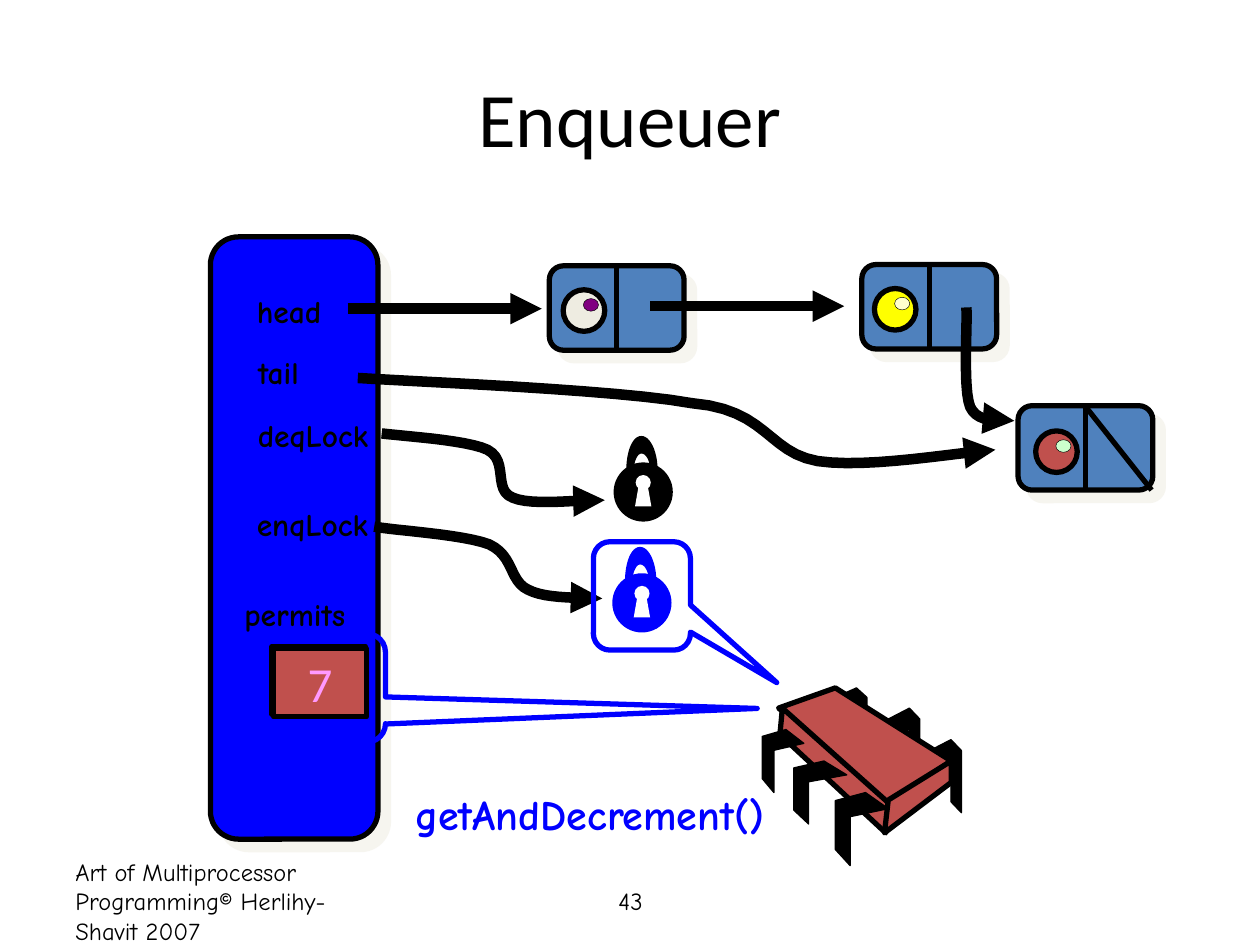
import pptx
import pptx.dml.color
import pptx.enum.shapes
import pptx.enum.text
import pptx.oxml.ns
import pptx.util
from lxml import etree
from pptx.util import Inches

SHAPE = pptx.enum.shapes.MSO_SHAPE
ALIGN = pptx.enum.text.PP_ALIGN
ANCHOR = pptx.enum.text.MSO_ANCHOR
qn = pptx.oxml.ns.qn

BLACK, WHITE, BLUE, RED = "000000", "FFFFFF", "0000FF", "C0504D"
PINK, STEEL, CREAM = "FF99FF", "4F81BD", "EEECE1"
HAND, PLAIN = "Comic Neue", "Calibri"
CURVE_STEPS = 12


def color(value):
    return pptx.dml.color.RGBColor.from_string(value)


def paint(shape, fill, line, width):
    shape.shadow.inherit = False
    if fill:
        shape.fill.solid()
        shape.fill.fore_color.rgb = color(fill)
    else:
        shape.fill.background()
    if line:
        shape.line.color.rgb = color(line)
        shape.line.width = pptx.util.Pt(width)
    else:
        shape.line.fill.background()


def add_arrowhead(shape):
    outline = shape._element.spPr.find(qn("a:ln"))
    etree.SubElement(outline, qn("a:tailEnd"), type="triangle")


def add_shadow(shape):
    effects = shape._element.spPr.find(qn("a:effectLst"))
    shadow = etree.SubElement(effects, qn("a:outerShdw"), blurRad="0",
                              dist=str(pptx.util.Pt(8.5)), dir="2700000",
                              algn="ctr", rotWithShape="0")
    tint = etree.SubElement(shadow, qn("a:srgbClr"), val=CREAM)
    etree.SubElement(tint, qn("a:alpha"), val="50000")


def add_preset(shapes, kind, box, fill=None, line=None, width=3, adjust=()):
    shape = shapes.add_shape(kind, *map(Inches, box))
    for index, value in enumerate(adjust):
        shape.adjustments[index] = value
    paint(shape, fill, line, width)
    return shape


def add_line(shapes, start, end, width=3, arrow=False):
    connector = shapes.add_connector(pptx.enum.shapes.MSO_CONNECTOR.STRAIGHT,
                                     *map(Inches, start + end))
    connector.line.color.rgb = color(BLACK)
    connector.line.width = pptx.util.Pt(width)
    etree.SubElement(connector._element.spPr, qn("a:effectLst"))
    if arrow:
        add_arrowhead(connector)


def add_outline(shapes, points, fill=None, line=None, width=3, close=True):
    points = [(Inches(x), Inches(y)) for x, y in points]
    builder = shapes.build_freeform(*points[0], scale=1.0)
    builder.add_line_segments(points[1:], close=close)
    shape = builder.convert_to_shape()
    paint(shape, fill, line, width)
    return shape


def bezier(points):
    """Trace joined cubic curves: a start, then three points per curve."""
    traced = [points[0]]
    for first in range(0, len(points) - 1, 3):
        a, b, c, d = points[first:first + 4]
        for step in range(1, CURVE_STEPS + 1):
            t = step / CURVE_STEPS
            weights = ((1 - t) ** 3, 3 * t * (1 - t) ** 2,
                       3 * t * t * (1 - t), t ** 3)
            traced.append(tuple(sum(w * p[axis] for w, p in zip(weights, (a, b, c, d)))
                                for axis in (0, 1)))
    return traced


def add_curved_arrow(shapes, points):
    add_arrowhead(add_outline(shapes, bezier(points), line=BLACK, width=6, close=False))


def write(shape, text, size, font=HAND, fill=BLACK, bold=False,
          align=ALIGN.CENTER, anchor=ANCHOR.MIDDLE, wrap=True):
    frame = shape.text_frame
    frame.text = text
    frame.word_wrap = wrap
    frame.vertical_anchor = anchor
    paragraph = frame.paragraphs[0]
    paragraph.alignment = align
    run_font = paragraph.runs[0].font
    run_font.name, run_font.size, run_font.bold = font, pptx.util.Pt(size), bold
    run_font.color.rgb = color(fill)


def add_text(shapes, box, text, size, **style):
    write(shapes.add_textbox(*map(Inches, box)), text, size, **style)


def add_label(shapes, box, text, size=18, fill=BLACK):
    add_text(shapes, box, text, size, fill=fill, bold=True, anchor=ANCHOR.TOP, wrap=False)


def add_node(slide, x, y):
    shapes = slide.shapes.add_group_shape().shapes
    add_shadow(add_preset(shapes, SHAPE.ROUNDED_RECTANGLE, (x, y, 1.07, 0.67),
                          STEEL, BLACK, adjust=[0.167]))
    add_line(shapes, (x + 0.535, y), (x + 0.535, y + 0.67))


def add_ball(slide, x, y, fill, spot):
    shapes = slide.shapes.add_group_shape().shapes
    add_preset(shapes, SHAPE.OVAL, (x, y, 0.33, 0.33), fill, BLACK)
    add_preset(shapes, SHAPE.OVAL, (x + 0.16, y + 0.07, 0.12, 0.1), spot, BLACK, 0.25)


def add_lock(slide, x, y, fill):
    shapes = slide.shapes.add_group_shape().shapes
    add_preset(shapes, SHAPE.OVAL, (x, y, 0.47, 0.47), fill)
    add_preset(shapes, SHAPE.OVAL, (x + 0.175, y + 0.1, 0.12, 0.12), WHITE)
    keyhole = [(0.17, 0.35), (0.2, 0.18), (0.27, 0.18), (0.3, 0.35)]
    add_outline(shapes, [(x + dx, y + dy) for dx, dy in keyhole], WHITE)
    inner = [(0.16, 0.07), (0.16, -0.01), (0.19, -0.07), (0.22, -0.07),
             (0.26, -0.07), (0.29, -0.01), (0.29, 0.07)]
    outer = [(0.35, 0.07), (0.35, -0.09), (0.29, -0.21), (0.22, -0.21),
             (0.15, -0.21), (0.1, -0.09), (0.1, 0.07)]
    shackle = bezier(inner) + bezier(outer)
    add_outline(shapes, [(x + dx, y + dy) for dx, dy in shackle], fill)


def add_chip(slide):
    shapes = slide.shapes.add_group_shape().shapes
    # Pin outlines as fractions of the pin's box
    back = [(0, 0.15), (0.67, 0), (1, 0.15), (1, 1), (0.67, 0.85), (0.67, 0.29), (0, 0.43)]
    front = [(0.57, 0), (1, 0.22), (0.28, 0.33), (0.28, 1), (0, 0.78), (0, 0.11)]

    def add_pins(outline, boxes):
        for x, y, width, height in boxes:
            add_outline(shapes, [(x + u * width, y + v * height) for u, v in outline],
                        BLACK, BLACK, 0.75)

    add_pins(back, [(7.38, 5.87, 0.25, 0.58), (7.05, 5.62, 0.25, 0.58),
                    (6.63, 5.46, 0.25, 0.5)])
    top = [(6.63, 5.46), (7.55, 6.04), (7.03, 6.39), (6.18, 5.62)]
    side = [(6.21, 5.62), (7.05, 6.37), (7.03, 6.61), (6.19, 5.83)]
    end = [(7.55, 6.04), (7.55, 6.21), (7.02, 6.61), (7.05, 6.35)]
    for face in (top, side, end):
        add_outline(shapes, face, RED, BLACK)
    add_pins(front, [(6.63, 6.29, 0.42, 0.58), (6.3, 6.04, 0.42, 0.5),
                     (6.05, 5.79, 0.33, 0.5)])


def main():
    presentation = pptx.Presentation()
    presentation.slide_width, presentation.slide_height = Inches(10), Inches(7.5)
    slide = presentation.slides.add_slide(presentation.slide_layouts[6])
    shapes = slide.shapes

    # Footer, page number and title
    add_text(shapes, (0.5, 6.95, 2.33, 0.4),
             "Art of Multiprocessor Programming© Herlihy-Shavit 2007", 14, align=ALIGN.LEFT)
    add_text(shapes, (3.42, 6.95, 3.17, 0.4), "43", 14)
    add_text(shapes, (0.5, 0.3, 9, 1.25), "Enqueuer", 44, font=PLAIN)

    # Queue object and its fields
    add_shadow(add_preset(shapes, SHAPE.ROUNDED_RECTANGLE, (1.67, 1.88, 1.33, 4.78),
                          BLUE, BLACK, adjust=[0.167]))
    for text, x, y, width in [("head", 1.91, 2.27, 0.77), ("tail", 1.91, 2.75, 0.6),
                              ("deqLock", 1.91, 3.25, 1.15), ("enqLock", 1.91, 3.96, 1.14),
                              ("permits", 1.79, 4.67, 1.1)]:
        add_label(shapes, (x, y, width, 0.4), text)
    add_preset(shapes, SHAPE.RECTANGLE, (2.16, 5.13, 0.74, 0.54), PINK, BLACK)
    permits = add_preset(shapes, SHAPE.RECTANGLE, (2.17, 5.15, 0.74, 0.54), RED, BLACK)
    write(permits, "7", 28, font=PLAIN, fill=PINK, wrap=False)

    # Linked nodes; the last one has a null link
    for x, y in [(4.36, 2.11), (6.84, 2.1), (8.08, 3.22)]:
        add_node(slide, x, y)
    add_line(shapes, (8.61, 3.22), (9.14, 3.89))
    for x, y, fill, spot in [(4.47, 2.3, CREAM, "800080"), (6.94, 2.29, "FFFF00", "FFFFCC"),
                             (8.22, 3.42, RED, "CCFFCC")]:
        add_ball(slide, x, y, fill, spot)

    # Pointers
    add_line(shapes, (2.76, 2.45), (4.3, 2.45), 6, arrow=True)
    add_line(shapes, (5.16, 2.43), (6.7, 2.43), 6, arrow=True)
    for points in [
        [(3.03, 3.44), (3.17, 3.46), (3.7, 3.49), (3.87, 3.57), (4.04, 3.66),
         (3.91, 3.89), (4.07, 3.95), (4.22, 4.02), (4.65, 3.96), (4.8, 3.97)],
        [(2.97, 4.18), (3.12, 4.21), (3.67, 4.24), (3.88, 4.32), (4.08, 4.41),
         (4.04, 4.61), (4.19, 4.68), (4.34, 4.76), (4.65, 4.74), (4.78, 4.75)],
        [(7.67, 2.44), (7.68, 2.57), (7.64, 3.08), (7.7, 3.23),
         (7.77, 3.38), (7.98, 3.32), (8.05, 3.34)],
        [(2.84, 3), (3.28, 3.03), (4.88, 3.09), (5.49, 3.2), (6.09, 3.25),
         (6.09, 3.59), (6.49, 3.66), (6.89, 3.72), (7.61, 3.59), (7.9, 3.57)],
    ]:
        add_curved_arrow(shapes, points)

    # Callouts from the enqueuing processor
    for box, adjust in [((2.06, 5.03, 1, 0.86), (3.45, 0.19, 0.17)),
                        ((4.71, 4.3, 0.77, 0.86), (1.39, 0.8, 0.17))]:
        add_preset(shapes, SHAPE.ROUNDED_RECTANGULAR_CALLOUT, box, line=BLUE, adjust=adjust)
    add_label(shapes, (3.03, 6.21, 3.3, 0.5), "getAndDecrement()", 24, BLUE)

    # Locks and processor
    add_lock(slide, 4.87, 3.67, BLACK)
    add_chip(slide)
    add_lock(slide, 4.86, 4.55, BLUE)

    presentation.save("out.pptx")


if __name__ == "__main__":
    main()
